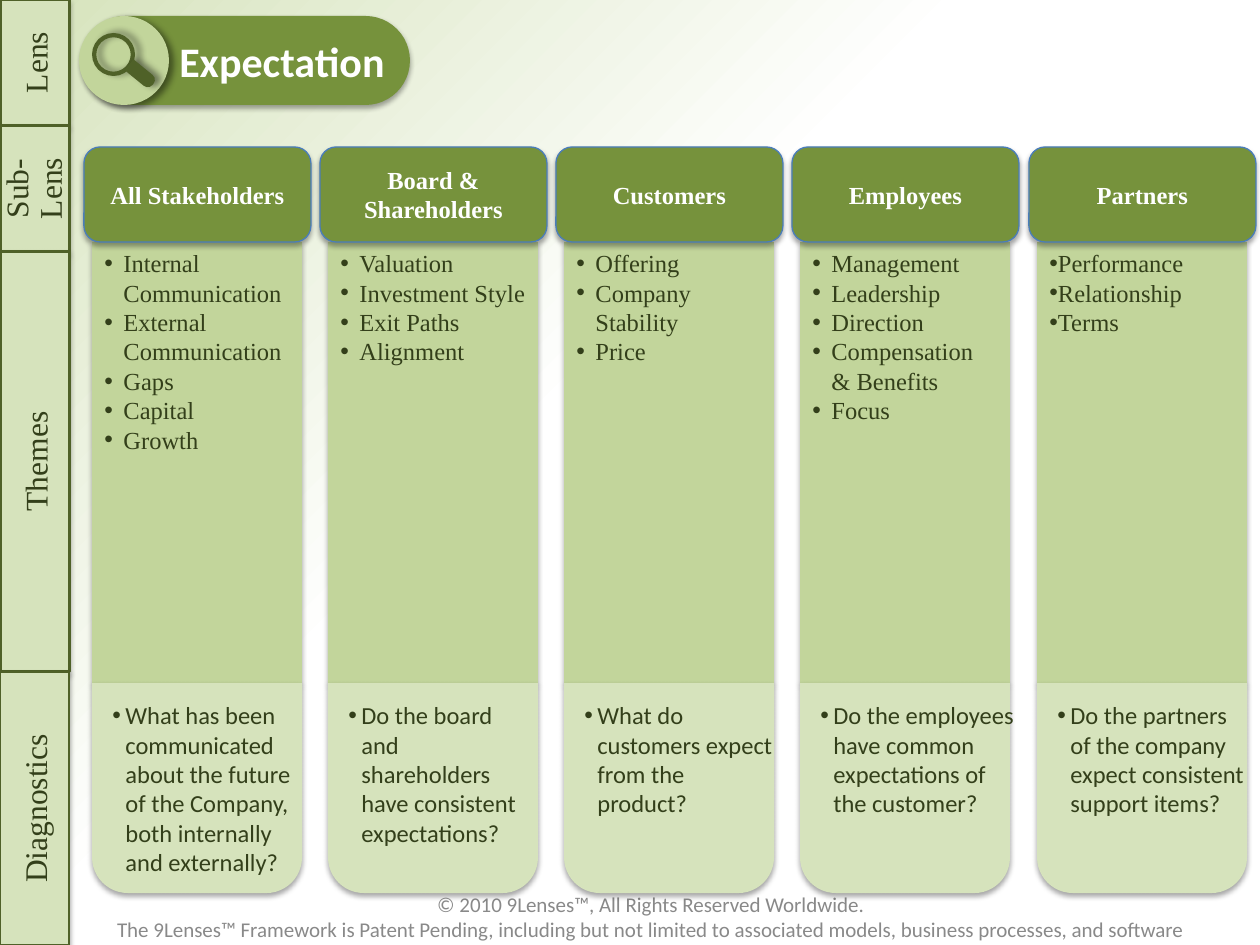
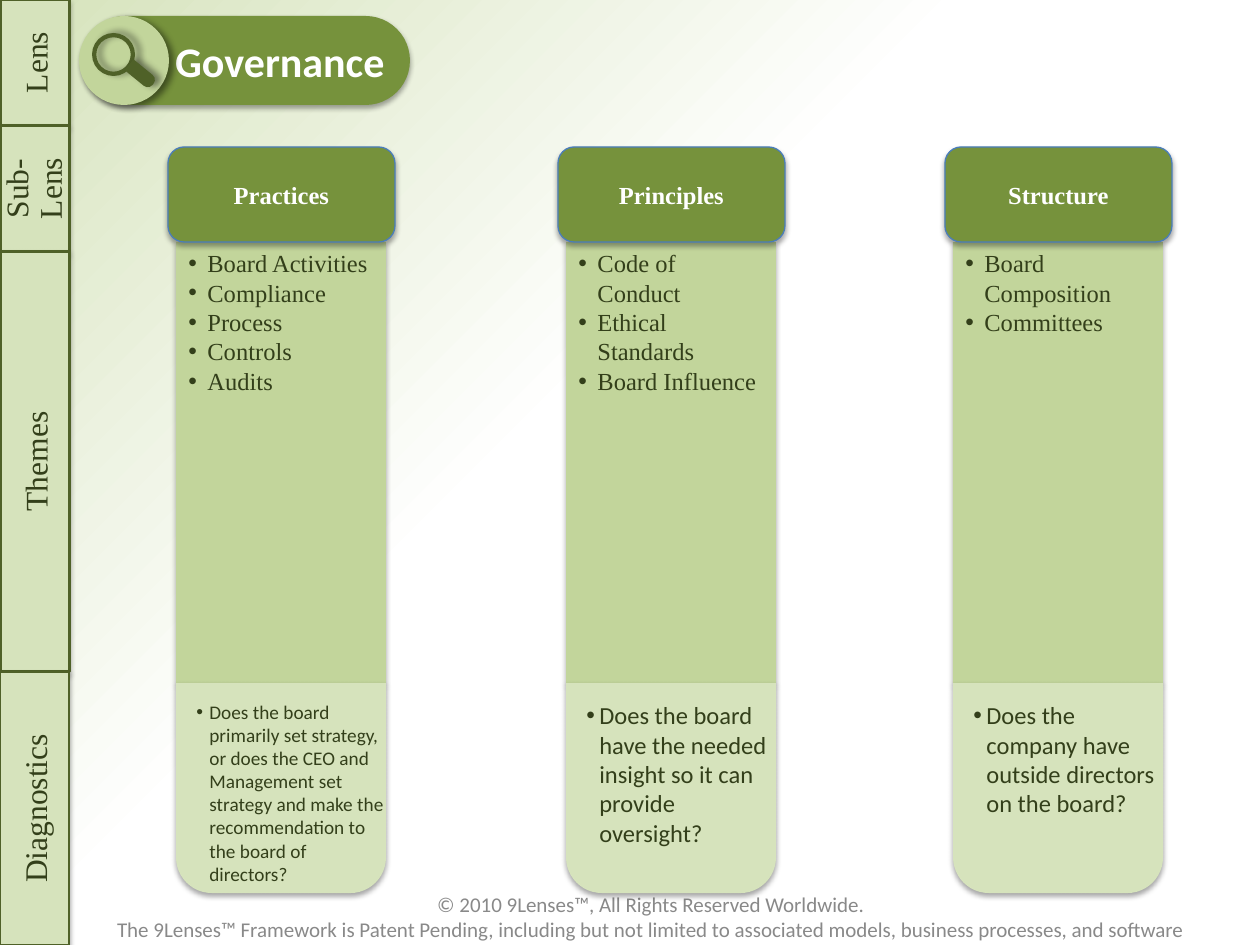
from dataclasses import dataclass
from typing import Any, NamedTuple, Optional

from lxml.etree import SubElement
from pptx import Presentation
from pptx.dml.color import RGBColor
from pptx.enum.shapes import MSO_SHAPE
from pptx.enum.text import MSO_ANCHOR, MSO_AUTO_SIZE, PP_ALIGN
from pptx.oxml import parse_xml
from pptx.oxml.ns import nsdecls, qn
from pptx.util import Emu, Pt

PIXELS_PER_INCH = 126
SLIDE_WIDTH, SLIDE_HEIGHT = 1260, 945

WHITE = "FFFFFF"
PALE_GREEN = "D6E3BC"
LIGHT_GREEN = "C2D59B"
GREEN = "76923C"
DARK_GREEN = "4F6128"
INK = "333F1A"
BLUE = "4A7DBA"
GREY = "898989"
SERIF, SANS = "Times New Roman", "Calibri"

TAB_WIDTH = 69
HEADER_WIDTH, HEADER_TOP, HEADER_HEIGHT = 227, 147, 95
THEMES_INSET, THEMES_WIDTH, THEMES_TOP, THEMES_HEIGHT = 8, 210, 242, 441
DIAGNOSTICS_TOP, DIAGNOSTICS_HEIGHT = 683, 210
QUESTION_INSET, QUESTION_TOP = 10, 694

FOOTER_LINES = (
    "© 2010 9Lenses™, All Rights Reserved Worldwide.",
    "The 9Lenses™ Framework is Patent Pending, including but not limited to "
    "associated models, business processes, and software",
)


class Box(NamedTuple):
    left: int
    top: int
    width: int
    height: int


class Shadow(NamedTuple):
    opacity: int
    blur: float
    distance: float
    direction: int


class Outline(NamedTuple):
    color: str
    width: float


class Bullet(NamedTuple):
    margin: int
    indent: int


SOFT_SHADOW = Shadow(35, 3.1, 1.8, 90)
DISC_SHADOW = Shadow(43, 4, 3, 34)
LENS_SHADOW = Shadow(43, 4, 3, 348)


@dataclass(frozen=True)
class TextStyle:
    size: int
    font: str
    color: str
    bold: bool = False
    align: PP_ALIGN = PP_ALIGN.CENTER
    anchor: MSO_ANCHOR = MSO_ANCHOR.MIDDLE
    bullet: Optional[Bullet] = None
    line_spacing: Optional[float] = None


@dataclass(frozen=True)
class ShapeStyle:
    preset: MSO_SHAPE
    fill: str
    shadow: Shadow = SOFT_SHADOW
    outline: Optional[Outline] = None
    adjustments: tuple[float, ...] = ()
    rotation: float = 0


@dataclass(frozen=True)
class Tab:
    label: str
    top: int
    bottom: int
    line_spacing: Optional[float] = None


@dataclass(frozen=True)
class SubLens:
    name: str
    themes: tuple[str, ...]
    question: str
    question_width: int = 220
    question_height: int = 131
    question_size: int = 14
    theme_bullet: Bullet = Bullet(19, -19)


@dataclass(frozen=True)
class Lens:
    title: str
    column_lefts: tuple[int, ...]
    sub_lenses: tuple[SubLens, ...]


TABS = (
    Tab("Lens", 0, 126),
    Tab("Sub- Lens", 126, 252, 0.89),
    Tab("Themes", 252, 672),
    Tab("Diagnostics", 672, 945),
)

PILL = ShapeStyle(MSO_SHAPE.ROUNDED_RECTANGLE, GREEN, adjustments=(0.5,))
DISC = ShapeStyle(MSO_SHAPE.OVAL, LIGHT_GREEN, DISC_SHADOW)
GLASS_RING = ShapeStyle(MSO_SHAPE.DONUT, DARK_GREEN, LENS_SHADOW, adjustments=(0.1,))
GLASS_HANDLE = ShapeStyle(MSO_SHAPE.ROUND_2_SAME_RECTANGLE, DARK_GREEN, LENS_SHADOW,
                          adjustments=(0.45, 0), rotation=129.3)
TAB_SHAPE = ShapeStyle(MSO_SHAPE.RECTANGLE, PALE_GREEN,
                       outline=Outline(DARK_GREEN, 1.25), rotation=270)
HEADER = ShapeStyle(MSO_SHAPE.ROUNDED_RECTANGLE, GREEN,
                    outline=Outline(BLUE, 0.75), adjustments=(0.17,))
THEMES_PANEL = ShapeStyle(MSO_SHAPE.RECTANGLE, LIGHT_GREEN)
DIAGNOSTICS_PANEL = ShapeStyle(MSO_SHAPE.ROUND_2_SAME_RECTANGLE, PALE_GREEN,
                               adjustments=(0.17, 0), rotation=180)

TITLE_TEXT = TextStyle(24, SANS, WHITE, True, PP_ALIGN.RIGHT)
HEADER_TEXT = TextStyle(14, SERIF, WHITE, True)
FOOTER_TEXT = TextStyle(12, SANS, GREY)

LENSES = (
    Lens("Expectation", tuple(84 + index * 945 // 4 for index in range(5)), (
        SubLens("All Stakeholders",
                ("Internal Communication", "External Communication",
                 "Gaps", "Capital", "Growth"),
                "What has been communicated about the future of the Company, "
                "both internally and externally?", question_height=190),
        SubLens("Board & Shareholders",
                ("Valuation", "Investment Style", "Exit Paths", "Alignment"),
                "Do the board and shareholders have consistent expectations?",
                question_width=215),
        SubLens("Customers", ("Offering", "Company Stability", "Price"),
                "What do customers expect from the product?", question_height=190),
        SubLens("Employees",
                ("Management", "Leadership", "Direction",
                 "Compensation & Benefits", "Focus"),
                "Do the employees have common expectations of the customer?",
                question_width=226),
        SubLens("Partners", ("Performance", "Relationship", "Terms"),
                "Do the partners of the company expect consistent support items?",
                theme_bullet=Bullet(0, 0)),
    )),
    Lens("Governance", (168, 558, 945), (
        SubLens("Practices",
                ("Board Activities", "Compliance", "Process", "Controls", "Audits"),
                "Does the board primarily set strategy, or does the CEO and "
                "Management set strategy and make the recommendation to the "
                "board of directors?", question_height=199, question_size=11),
        SubLens("Principles", ("Code of Conduct", "Ethical Standards", "Board Influence"),
                "Does the board have the needed insight so it can provide oversight?",
                question_width=215, question_height=161),
        SubLens("Structure", ("Board Composition", "Committees"),
                "Does the company have outside directors on the board?"),
    )),
)


def px(value: float) -> Emu:
    return Emu(round(value * 914400 / PIXELS_PER_INCH))


def rgb(color: str) -> RGBColor:
    return RGBColor.from_string(color)


def set_values(target: Any, values: dict[str, Any]) -> None:
    for name, value in values.items():
        setattr(target, name, value)


def add_bullet(paragraph: Any, bullet: Bullet, color: str) -> None:
    properties = paragraph._p.get_or_add_pPr()
    properties.set("marL", str(px(bullet.margin)))
    properties.set("indent", str(px(bullet.indent)))
    bullet_color = SubElement(properties, qn("a:buClr"))
    SubElement(bullet_color, qn("a:srgbClr"), val=color)
    SubElement(properties, qn("a:buFont"), typeface="Arial")
    SubElement(properties, qn("a:buChar"), char="•")


def write_text(shape: Any, lines: tuple[str, ...], style: TextStyle) -> None:
    frame = shape.text_frame
    set_values(frame, {"word_wrap": True, "vertical_anchor": style.anchor})
    for index, line in enumerate(lines):
        paragraph = frame.add_paragraph() if index else frame.paragraphs[0]
        if style.bullet:
            add_bullet(paragraph, style.bullet, style.color)
        set_values(paragraph, {"alignment": style.align, "line_spacing": style.line_spacing})
        run = paragraph.add_run()
        run.text = line
        set_values(run.font, {"size": Pt(style.size), "name": style.font, "bold": style.bold})
        run.font.color.rgb = rgb(style.color)


def add_shadow(shape: Any, shadow: Shadow) -> None:
    shape.shadow.inherit = False
    effects = shape._element.spPr.find(qn("a:effectLst"))
    outer = SubElement(effects, qn("a:outerShdw"), blurRad=str(Pt(shadow.blur)),
                       dist=str(Pt(shadow.distance)), dir=str(shadow.direction * 60000),
                       rotWithShape="0")
    color = SubElement(outer, qn("a:srgbClr"), val="000000")
    SubElement(color, qn("a:alpha"), val=str(shadow.opacity * 1000))


def draw_shape(group: Any, box: Box, style: ShapeStyle) -> Any:
    shape = group.shapes.add_shape(style.preset, *map(px, box))
    shape.rotation = style.rotation
    for index, value in enumerate(style.adjustments):
        shape.adjustments[index] = value
    shape.fill.solid()
    shape.fill.fore_color.rgb = rgb(style.fill)
    if style.outline:
        shape.line.color.rgb = rgb(style.outline.color)
        shape.line.width = Pt(style.outline.width)
    else:
        shape.line.fill.background()
    add_shadow(shape, style.shadow)
    return shape


def draw_background(slide: Any) -> None:
    fill = slide.background.fill
    fill.gradient()
    stops = "".join(
        f'<a:gs pos="{position * 1000}"><a:srgbClr val="{color}"/></a:gs>'
        for position, color in ((0, WHITE), (56, WHITE), (99, PALE_GREEN), (100, PALE_GREEN))
    )
    gradient = parse_xml(
        f'<a:gradFill {nsdecls("a")} rotWithShape="1"><a:gsLst>{stops}</a:gsLst>'
        '<a:path path="circle"><a:fillToRect l="100000" t="100000"/></a:path></a:gradFill>'
    )
    previous = slide._element.find(".//" + qn("a:gradFill"))
    previous.getparent().replace(previous, gradient)


def draw_footer(slide: Any) -> None:
    footer = slide.shapes.add_textbox(*map(px, Box(84, 892, 1134, 50)))
    write_text(footer, FOOTER_LINES, FOOTER_TEXT)


def draw_title(slide: Any, title: str) -> None:
    group = slide.shapes.add_group_shape()
    pill = draw_shape(group, Box(81, 16, 329, 89), PILL)
    write_text(pill, (title,), TITLE_TEXT)
    draw_shape(group, Box(79, 16, 90, 89), DISC)
    draw_shape(group, Box(92, 33, 43, 43), GLASS_RING)
    draw_shape(group, Box(134, 59, 14, 31), GLASS_HANDLE)


def draw_tabs(slide: Any) -> None:
    group = slide.shapes.add_group_shape()
    for tab in TABS:
        length = tab.bottom - tab.top
        offset = (length - TAB_WIDTH) // 2
        shape = draw_shape(group, Box(-offset, tab.top + offset, length, TAB_WIDTH), TAB_SHAPE)
        write_text(shape, (tab.label,), TextStyle(18, SERIF, INK, line_spacing=tab.line_spacing))


def draw_column(slide: Any, left: int, sub_lens: SubLens) -> None:
    group = slide.shapes.add_group_shape()
    panel_left = left + THEMES_INSET
    themes = draw_shape(group, Box(panel_left, THEMES_TOP, THEMES_WIDTH, THEMES_HEIGHT),
                        THEMES_PANEL)
    write_text(themes, sub_lens.themes,
               TextStyle(14, SERIF, INK, align=PP_ALIGN.LEFT, anchor=MSO_ANCHOR.TOP,
                         bullet=sub_lens.theme_bullet))
    draw_shape(group, Box(panel_left, DIAGNOSTICS_TOP, THEMES_WIDTH, DIAGNOSTICS_HEIGHT),
               DIAGNOSTICS_PANEL)
    question_box = Box(left + QUESTION_INSET, QUESTION_TOP,
                       sub_lens.question_width, sub_lens.question_height)
    question = group.shapes.add_textbox(*map(px, question_box))
    write_text(question, (sub_lens.question,),
               TextStyle(sub_lens.question_size, SANS, INK, align=PP_ALIGN.LEFT,
                         anchor=MSO_ANCHOR.TOP, bullet=Bullet(19, -13)))
    question.text_frame.auto_size = MSO_AUTO_SIZE.SHAPE_TO_FIT_TEXT
    header = draw_shape(group, Box(left, HEADER_TOP, HEADER_WIDTH, HEADER_HEIGHT), HEADER)
    write_text(header, (sub_lens.name,), HEADER_TEXT)


def main() -> None:
    presentation = Presentation()
    set_values(presentation, {"slide_width": px(SLIDE_WIDTH), "slide_height": px(SLIDE_HEIGHT)})
    for lens in LENSES:
        slide = presentation.slides.add_slide(presentation.slide_layouts[6])
        draw_background(slide)
        draw_footer(slide)
        draw_title(slide, lens.title)
        draw_tabs(slide)
        for left, sub_lens in zip(lens.column_lefts, lens.sub_lenses):
            draw_column(slide, left, sub_lens)
    presentation.save("out.pptx")


if __name__ == "__main__":
    main()
